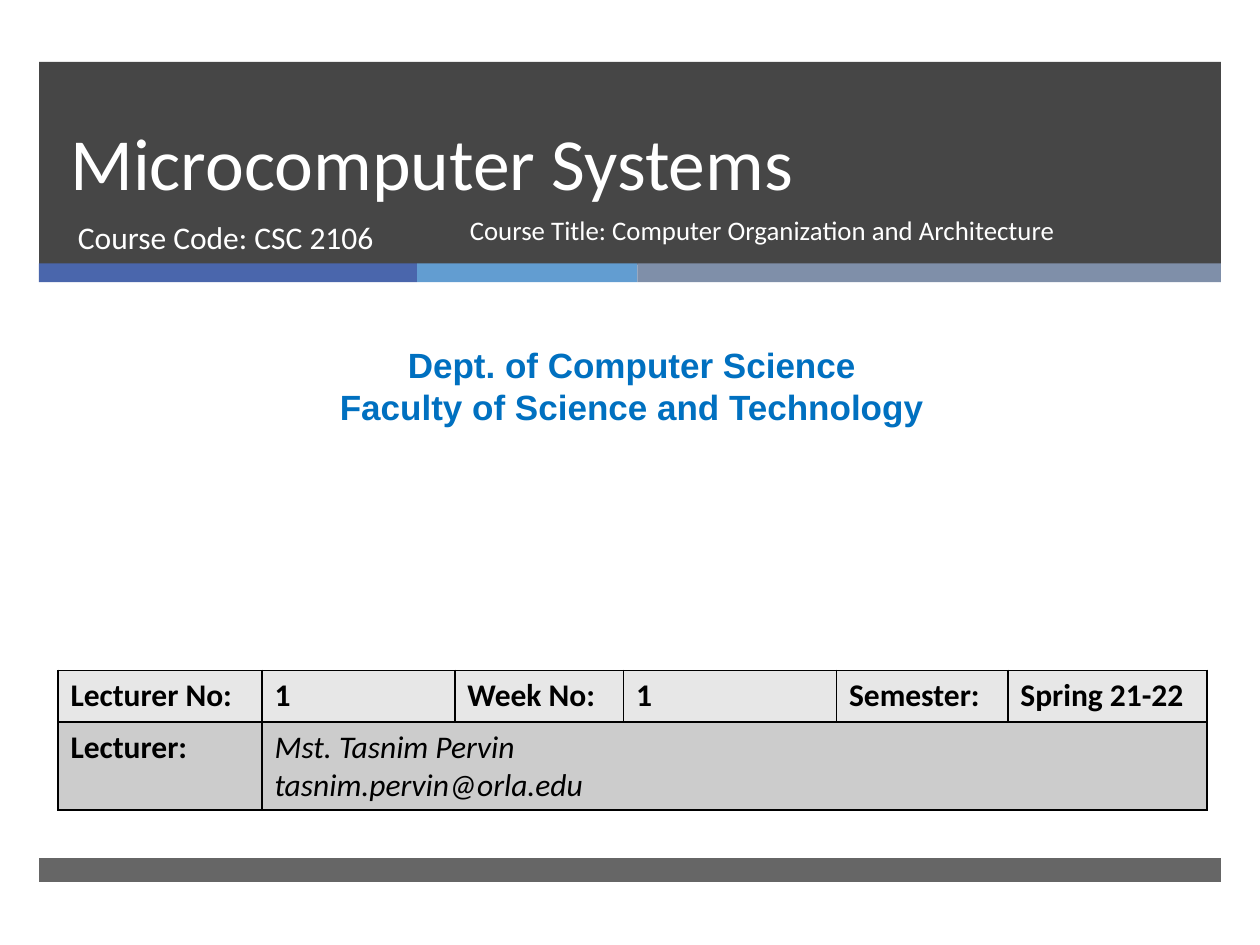
"""Build the opening slide of a microcomputer systems lecture."""
from lxml import etree
from pptx import Presentation
from pptx.dml.color import RGBColor
from pptx.enum.shapes import MSO_SHAPE
from pptx.enum.text import MSO_ANCHOR, PP_ALIGN
from pptx.oxml import parse_xml
from pptx.oxml.ns import nsdecls, qn
from pptx.util import Inches, Pt

RECTANGLE = MSO_SHAPE.RECTANGLE
TOP, BOTTOM = MSO_ANCHOR.TOP, MSO_ANCHOR.BOTTOM
LEFT, CENTER = PP_ALIGN.LEFT, PP_ALIGN.CENTER

THEME = {
    "dark": "262626", "white": "FFFFFF", "black": "000000", "department": "0070C0",
    "stripes": ["4A66AC", "629DD1", "7F8FA9"],
    "table_rows": ["E7E7E7", "CCCCCC"],
    "body_font": "Calibri", "department_font": "Arial",
    "title": 42, "department_size": 20, "body": 18, "course_title": 15.3,
}

prs = Presentation()
prs.slide_width, prs.slide_height = Inches(10), Inches(7.5)
slide = prs.slides.add_slide(prs.slide_layouts[6])


def add_band(left, top, width, height, color, opacity=100):
    band = slide.shapes.add_shape(
        RECTANGLE, Inches(left), Inches(top), Inches(width), Inches(height))
    band.shadow.inherit = False
    band.line.fill.background()
    band.fill.solid()
    band.fill.fore_color.rgb = RGBColor.from_string(color)
    if opacity < 100:
        color_node = next(band.element.spPr.iter(qn("a:srgbClr")))
        etree.SubElement(color_node, qn("a:alpha"), val=str(opacity * 1000))


def write_lines(frame, lines, size, color, font=THEME["body_font"],
                bold=False, italic=False, align=LEFT, spacing=None):
    for index, line in enumerate(lines):
        paragraph = frame.add_paragraph() if index else frame.paragraphs[0]
        paragraph.alignment = align
        paragraph.line_spacing = spacing
        run = paragraph.add_run()
        run.text = line
        run.font.name, run.font.size = font, Pt(size)
        run.font.bold, run.font.italic = bold, italic
        run.font.color.rgb = RGBColor.from_string(color)


add_band(0.31, 0.49, 9.38, 1.61, THEME["dark"], 85)
stripe_left = 0.31
for stripe_width, stripe_color in zip([3, 1.75, 4.63], THEME["stripes"]):
    add_band(stripe_left, 2.09, stripe_width, 0.15, stripe_color)
    stripe_left += stripe_width
add_band(0.31, 6.81, 9.38, 0.19, THEME["dark"], 70)

headings = [
    ((0.46, 0.49, 8.54, 1.19), BOTTOM, ["Microcomputer Systems"],
     dict(size=THEME["title"], color=THEME["white"], spacing=Pt(46))),
    ((0.52, 1.68, 3.05, 0.53), TOP, ["Course Code: CSC 2106"],
     dict(size=THEME["body"], color=THEME["white"])),
    ((0.08, 2.68, 9.87, 0.77), TOP,
     ["Dept. of Computer Science", "Faculty of Science and Technology"],
     dict(size=THEME["department_size"], color=THEME["department"],
          font=THEME["department_font"], bold=True, align=CENTER)),
    ((3.63, 1.68, 4.85, 0.53), TOP,
     ["Course Title: Computer Organization and Architecture"],
     dict(size=THEME["course_title"], color=THEME["white"], spacing=0.9)),
]
for bounds, anchor, lines, style in headings:
    heading = slide.shapes.add_textbox(*map(Inches, bounds)).text_frame
    heading.word_wrap = True
    heading.vertical_anchor = anchor
    write_lines(heading, lines, **style)

column_widths = [1.62, 1.53, 1.34, 1.69, 1.36, 1.58]
row_heights = [0.41, 0.7]
lecture_rows = [
    ["Lecturer No:", "1", "Week No:", "1", "Semester:", "Spring 21-22"],
    ["Lecturer:", "Mst. Tasnim Pervin\ntasnim.pervin@orla.edu"],
]
lecture_table = slide.shapes.add_table(
    len(row_heights), len(column_widths), Inches(0.46), Inches(5.32),
    Inches(sum(column_widths)), Inches(sum(row_heights))).table
for column, width in zip(lecture_table.columns, column_widths):
    column.width = Inches(width)
for row, height in zip(lecture_table.rows, row_heights):
    row.height = Inches(height)
lecture_table.cell(1, 1).merge(lecture_table.cell(1, 5))

for row_index, row_color in enumerate(THEME["table_rows"]):
    for column_index in range(len(column_widths)):
        cell = lecture_table.cell(row_index, column_index)
        cell.fill.solid()
        cell.fill.fore_color.rgb = RGBColor.from_string(row_color)
        for position, edge in enumerate(["lnL", "lnR", "lnT", "lnB"]):
            border = parse_xml(
                f'<a:{edge} {nsdecls("a")} w="12700"><a:solidFill>'
                f'<a:srgbClr val="{THEME["black"]}"/></a:solidFill></a:{edge}>')
            cell._tc.get_or_add_tcPr().insert(position, border)
    for column_index, entry in enumerate(lecture_rows[row_index]):
        is_lecturer = (row_index, column_index) == (1, 1)
        write_lines(lecture_table.cell(row_index, column_index).text_frame,
                    entry.split("\n"), THEME["body"], THEME["black"],
                    bold=not is_lecturer, italic=is_lecturer)

prs.save("out.pptx")
